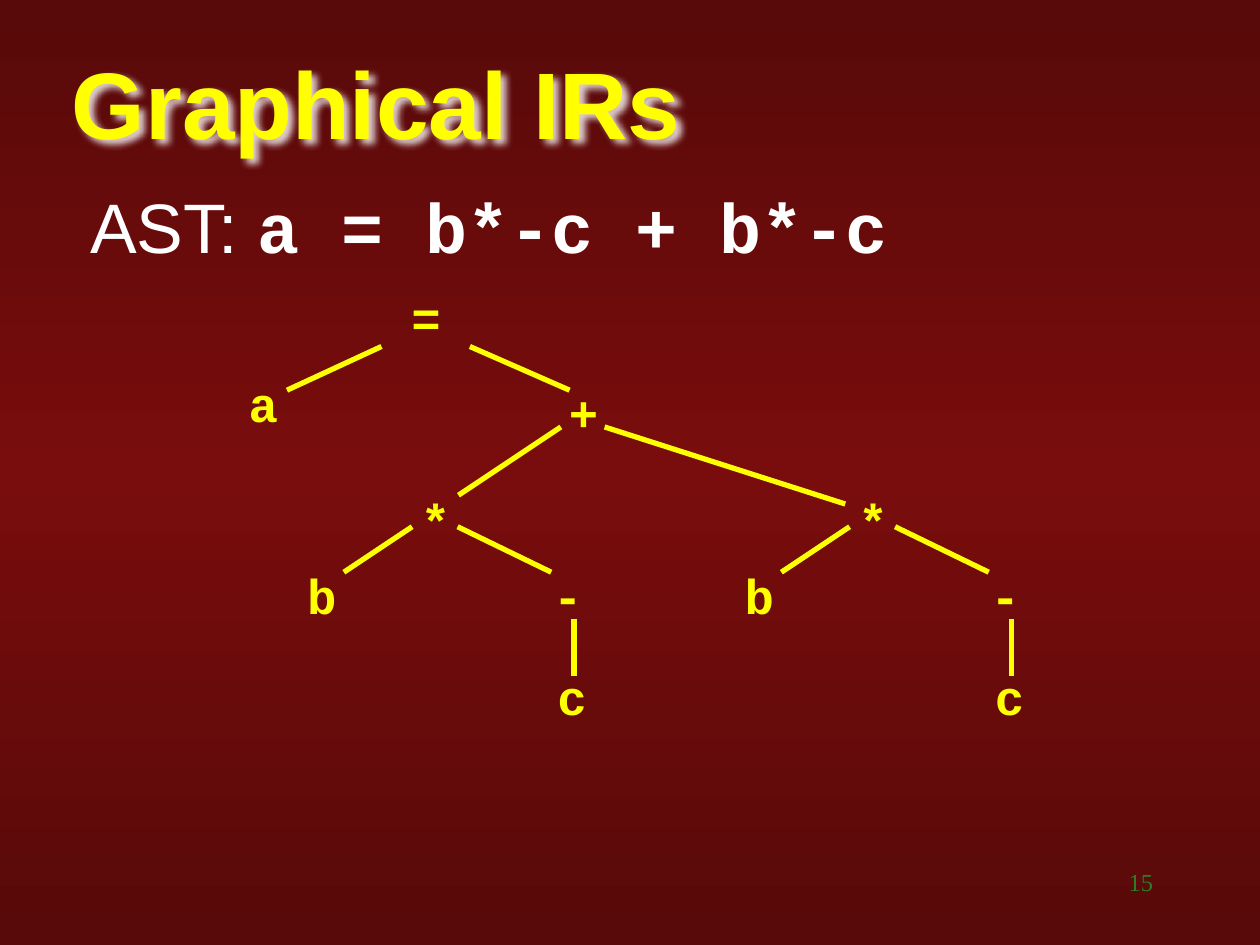
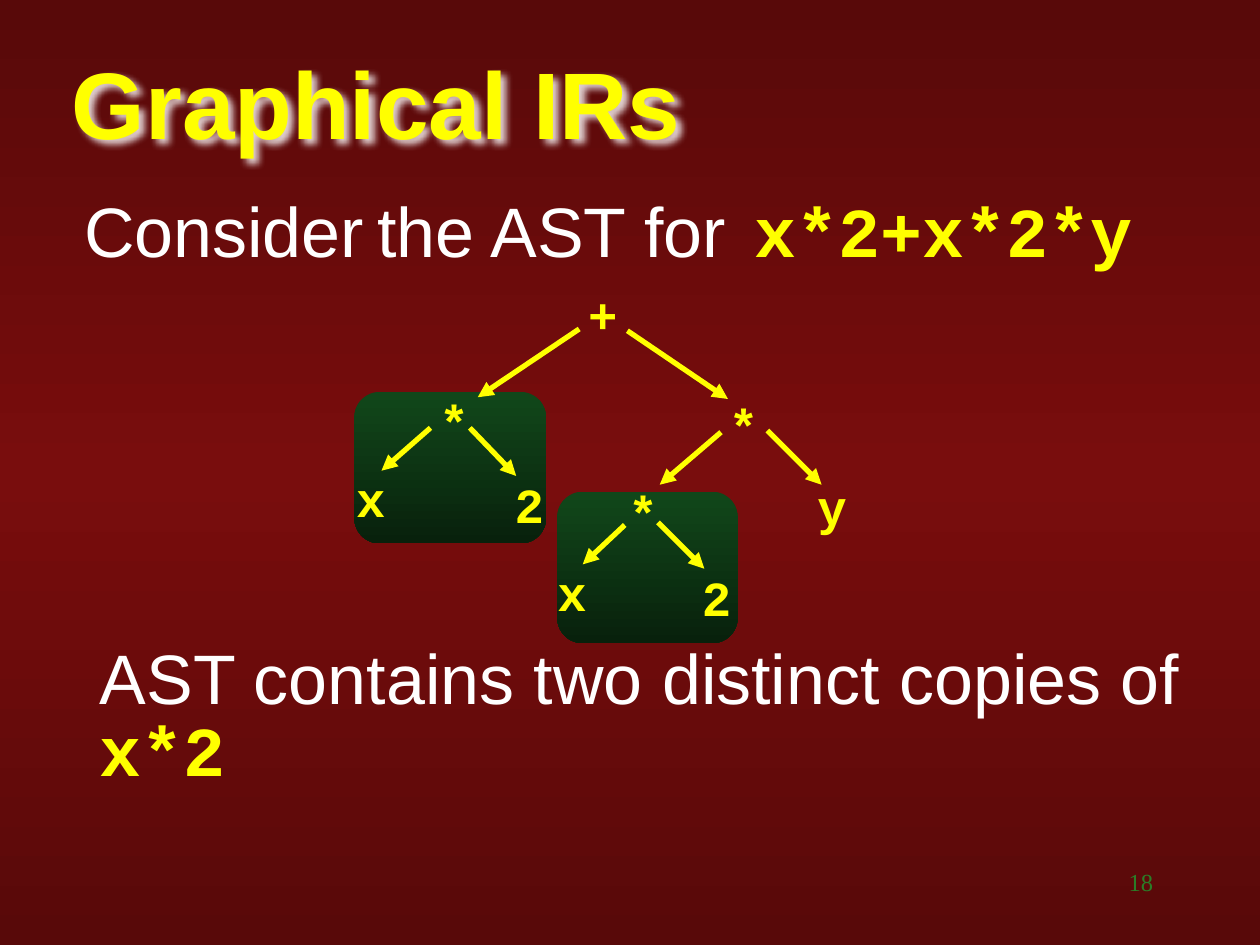
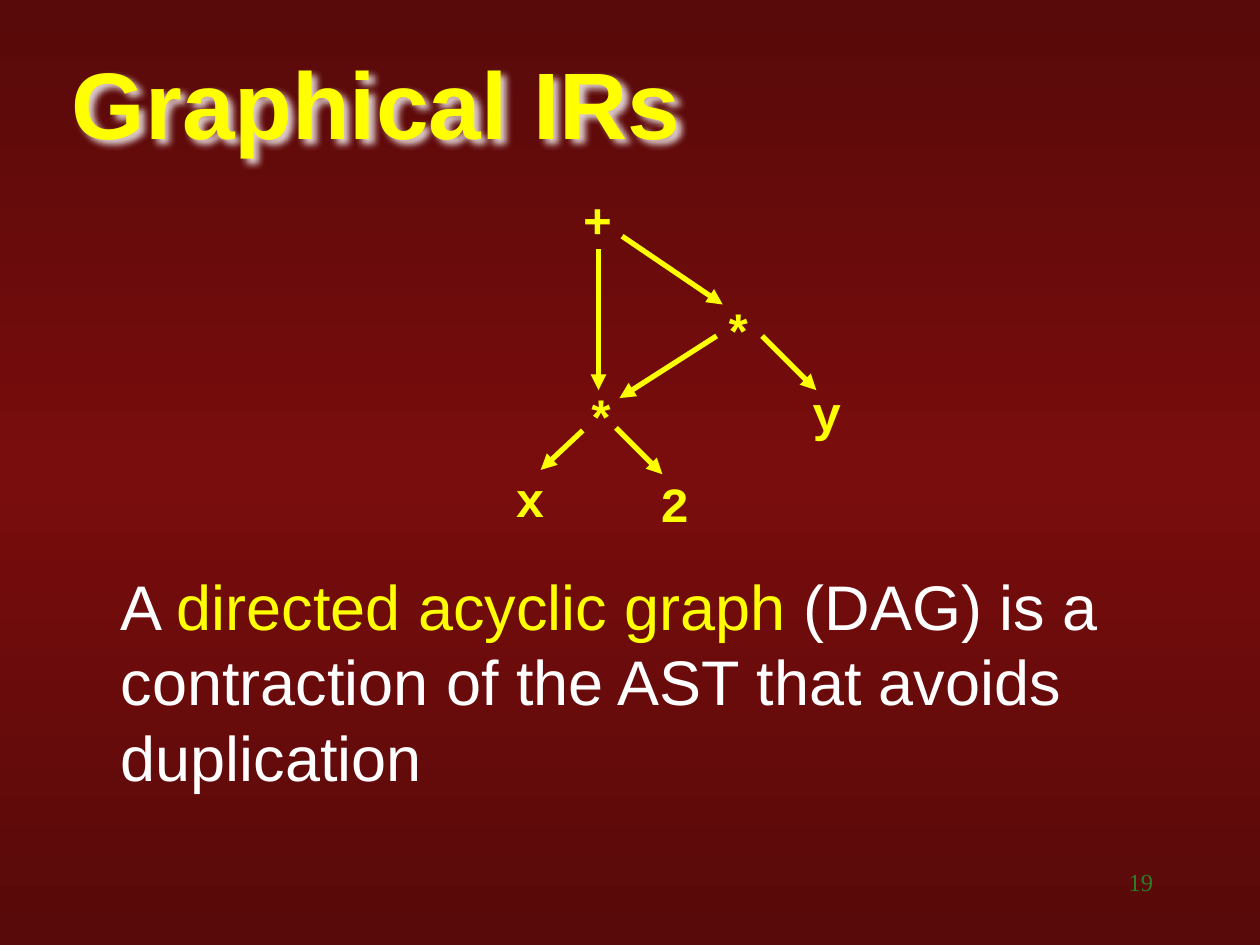
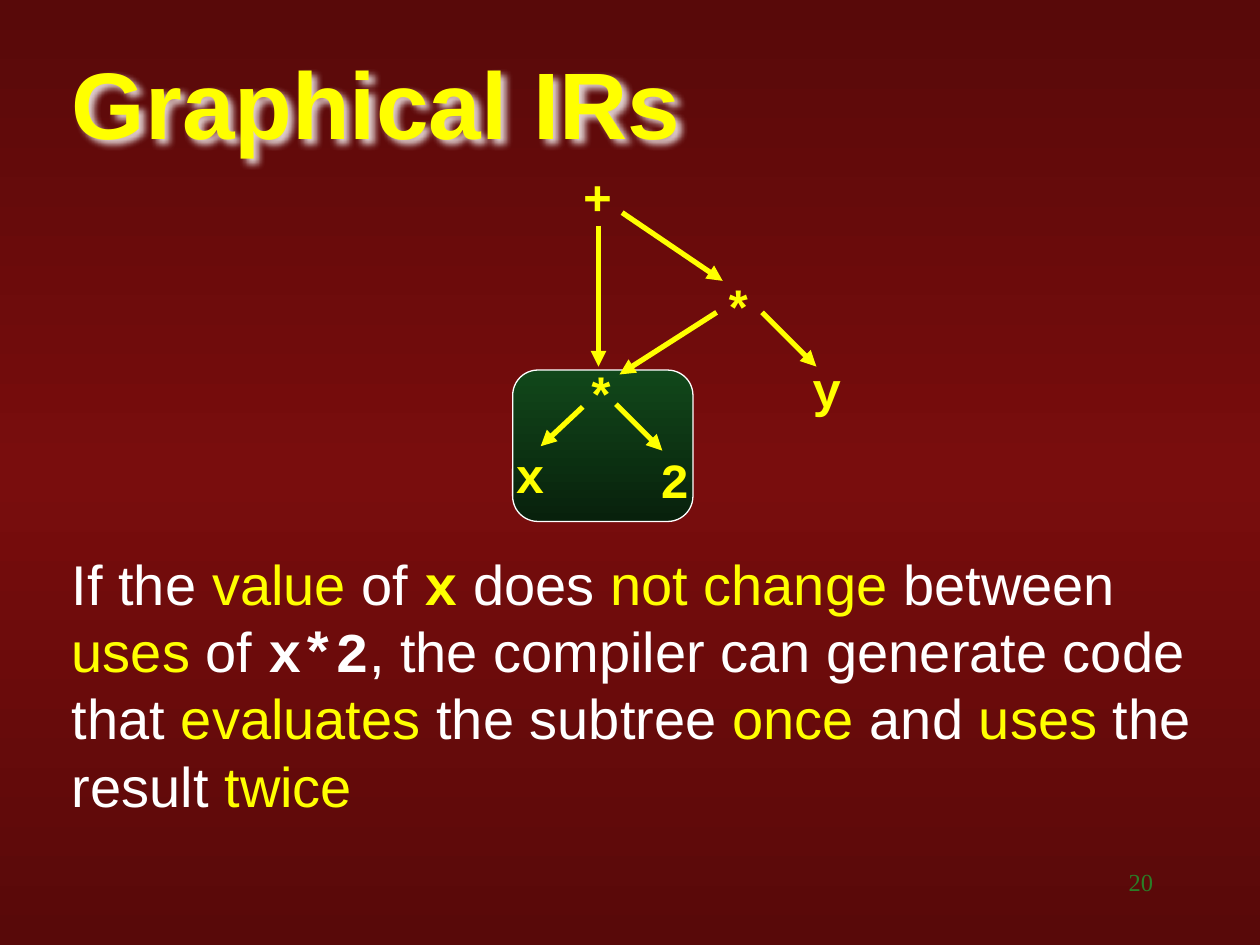
from lxml.etree import SubElement
from pptx import Presentation
from pptx.dml.color import RGBColor
from pptx.enum.shapes import MSO_CONNECTOR, MSO_SHAPE
from pptx.enum.text import MSO_ANCHOR, PP_ALIGN
from pptx.oxml.ns import qn
from pptx.util import Pt

COLORS = {
    "edge red": "580909",
    "middle red": "790D0D",
    "light green": "11471A",
    "dark green": "08210C",
    "number green": "2B7D27",
    "yellow": "FFFF00",
    "white": "FFFFFF",
}
SANS, MONO, SERIF = "Arial", "Courier New", "Times New Roman"

# Font changes within a body paragraph
KEY = {"color": "yellow"}
CODE = {"name": MONO, "bold": True}
KEY_CODE = {**CODE, **KEY}

# Trees: nodes are (text, left, top), edges are (x1, y1, x2, y2),
# all measured from the corner of the root's box
ASSIGNMENT = (
    [("=", 0, 0), ("a", -93, 49), ("+", 90, 54)],
    [(-10, 37, -64, 62), (40.5, 37, 97.5, 62),
     (92.5, 83, 34, 122), (117.5, 83, 255, 127)],
)
B_TIMES_MINUS_C = (
    [("*", 0, 0), ("b", -65, 43), ("-", 75.5, 43), ("c", 78, 101)],
    [(2, 24.5, -37, 50.5), (28, 24.5, 81.5, 50.5), (94.5, 77, 94.5, 110)],
)
SUM = (
    [("+", 0, 0), ("*", 80.5, 63.5), ("y", 131, 110)],
    [(29.5, 30, 87, 69), (109.5, 87, 140.5, 118)],
)
X_TIMES_2 = (
    [("*", 0, 0), ("x", -40.5, 46), ("2", 42, 49)],
    [(5, 28, -19, 50.5), (24, 26.5, 50.5, 53)],
)
WIDE_X_TIMES_2 = (
    [("*", 0, 0), ("x", -47.5, 44), ("2", 43, 47.5)],
    [(2, 24.5, -26, 49), (24.5, 24.5, 51, 52)],
)
AST_LINKS = ([], [(2, 29, -56, 68), (83, 88, 48, 118)])
DAG_LINKS = ([], [(16, 37.5, 16, 118), (83.5, 87, 28, 122.5)])


def set_font(font, size=None, name=None, color=None, bold=None):
    if size:
        font.size = Pt(size)
    if name:
        font.name = name
    if color:
        font.color.rgb = RGBColor.from_string(COLORS[color])
    if bold is not None:
        font.bold = bold


def set_gradient(owner, fill, *colors):
    """Fill from top to bottom with evenly spaced colours."""
    fill.gradient()
    fill.gradient_angle = 270
    stops = owner.element.find(".//" + qn("a:gsLst"))
    for stop in list(stops):
        stops.remove(stop)
    for index, color in enumerate(colors):
        position = 100000 * index // (len(colors) - 1)
        stop = SubElement(stops, qn("a:gs"), pos=str(position))
        SubElement(stop, qn("a:srgbClr"), val=COLORS[color])


class Slides:
    def __init__(self):
        self.deck = Presentation()
        self.deck.slide_width, self.deck.slide_height = Pt(720), Pt(540)
        self.page = None

    def start(self, number):
        """Add a slide with background, title and slide number."""
        self.page = self.deck.slides.add_slide(self.deck.slide_layouts[6])
        set_gradient(self.page, self.page.background.fill,
                     "edge red", "middle red", "edge red")
        para = self.text(516, 492, 150, 36, [(str(number), {})],
                         size=14, name=SERIF, color="number green")
        para.alignment = PP_ALIGN.RIGHT

    def title(self, text):
        box = self.box(34, 28, 662, 60)
        box.text_frame.vertical_anchor = MSO_ANCHOR.MIDDLE
        para = box.text_frame.paragraphs[0]
        para.text = text
        set_font(para.font, 54, SANS, "yellow", True)
        effects = SubElement(box.element.spPr, qn("a:effectLst"))
        shadow = SubElement(effects, qn("a:outerShdw"), blurRad="50800",
                            dist="38100", dir="2700000", algn="tl")
        color = SubElement(shadow, qn("a:srgbClr"), val=COLORS["white"])
        SubElement(color, qn("a:alpha"), val="80000")

    def box(self, left, top, width, height, wrap=True):
        box = self.page.shapes.add_textbox(Pt(left), Pt(top), Pt(width), Pt(height))
        box.text_frame.word_wrap = wrap
        return box

    def text(self, left, top, width, height, spans, size, name=SANS,
             color="white", spacing=None):
        """Add one paragraph of (text, font changes) spans."""
        para = self.box(left, top, width, height).text_frame.paragraphs[0]
        if spacing:
            para.line_spacing = spacing
        set_font(para.font, size, name, color)
        for text, changes in spans:
            span = para.add_run()
            span.text = text
            set_font(span.font, **changes)
        return para

    def node(self, text, left, top):
        para = self.box(left, top, 31, 41, wrap=False).text_frame.paragraphs[0]
        para.text = text
        set_font(para.font, 28, MONO, "yellow", True)

    def edge(self, x1, y1, x2, y2, arrow):
        edge = self.page.shapes.add_connector(
            MSO_CONNECTOR.STRAIGHT, Pt(x1), Pt(y1), Pt(x2), Pt(y2))
        edge.line.width = Pt(3)
        edge.line.color.rgb = RGBColor.from_string(COLORS["yellow"])
        properties = edge.element.spPr
        if arrow:
            SubElement(properties.find(qn("a:ln")), qn("a:tailEnd"), type="triangle")
        SubElement(properties, qn("a:effectLst"))

    def tree(self, tree, left, top, arrow=True):
        nodes, edges = tree
        for text, x, y in nodes:
            self.node(text, left + x, top + y)
        for x1, y1, x2, y2 in edges:
            self.edge(left + x1, top + y1, left + x2, top + y2, arrow)

    def dag(self, left, top):
        self.tree(SUM, left, top)
        self.tree(DAG_LINKS, left, top)
        self.tree(X_TIMES_2, left + 2, top + 113)

    def panel(self, left, top, width, outline=False):
        """Add the green card behind a subtree."""
        panel = self.page.shapes.add_shape(
            MSO_SHAPE.ROUNDED_RECTANGLE, Pt(left), Pt(top), Pt(width), Pt(86.5))
        panel.shadow.inherit = False
        set_gradient(panel, panel.fill, "light green", "dark green")
        if outline:
            panel.line.color.rgb = RGBColor.from_string(COLORS["white"])
            panel.line.width = Pt(0.75)
        else:
            panel.line.fill.background()


def add_ast(slides):
    slides.start(15)
    slides.title("Graphical IRs")
    slides.text(44.5, 108.5, 644, 63, [("AST: ", {}), ("a = b*-c + b*-c", CODE)],
                size=40, spacing=0.85)
    slides.tree(ASSIGNMENT, 228, 161, arrow=False)
    for left in (233.5, 483.5):
        slides.tree(B_TIMES_MINUS_C, left, 276.5, arrow=False)


def add_duplicates(slides):
    slides.start(18)
    slides.panel(202.5, 224, 109.5)
    slides.panel(318.5, 281, 103)
    slides.title("Graphical IRs")
    slides.text(50, 366.5, 644, 84,
                [("AST contains two distinct copies of ", {}), ("x*2", KEY_CODE)],
                size=40, spacing=0.85)
    slides.tree(SUM, 329, 159)
    slides.tree(AST_LINKS, 329, 159)
    slides.tree(WIDE_X_TIMES_2, 244, 220)
    slides.tree(X_TIMES_2, 352, 272)
    slides.text(41, 111, 679, 92,
                [("Consider", {}), (" ", {"name": MONO, "size": 13}),
                 ("the AST for", {}), (" ", {"name": MONO, "size": 27}),
                 ("x*2+x*2*y", KEY_CODE)],
                size=40, spacing=0.85)


def add_dag(slides):
    slides.start(19)
    slides.title("Graphical IRs")
    slides.text(62, 320.5, 658, 149,
                [("A ", {}), ("directed acyclic graph", KEY),
                 (" (DAG) is a contraction of the AST that avoids duplication", {})],
                size=36)
    slides.dag(326, 105)


def add_reuse(slides):
    slides.start(20)
    slides.panel(293, 211.5, 103, outline=True)
    slides.title("Graphical IRs")
    slides.text(34, 310.5, 670, 172,
                [("If the ", {}), ("value", KEY), (" of ", {}), ("x", KEY_CODE),
                 (" does ", {}), ("not change", KEY), (" between ", {}),
                 ("uses", KEY), (" of ", {}), ("x*2", CODE),
                 (", the compiler can generate code that ", {}),
                 ("evaluates", KEY), (" the subtree ", {}), ("once", KEY),
                 (" and ", {}), ("uses", KEY), (" the result ", {}),
                 ("twice", KEY)],
                size=32)
    slides.dag(326, 91.5)


def main():
    slides = Slides()
    for add_page in (add_ast, add_duplicates, add_dag, add_reuse):
        add_page(slides)
    slides.deck.save("out.pptx")


if __name__ == "__main__":
    main()
